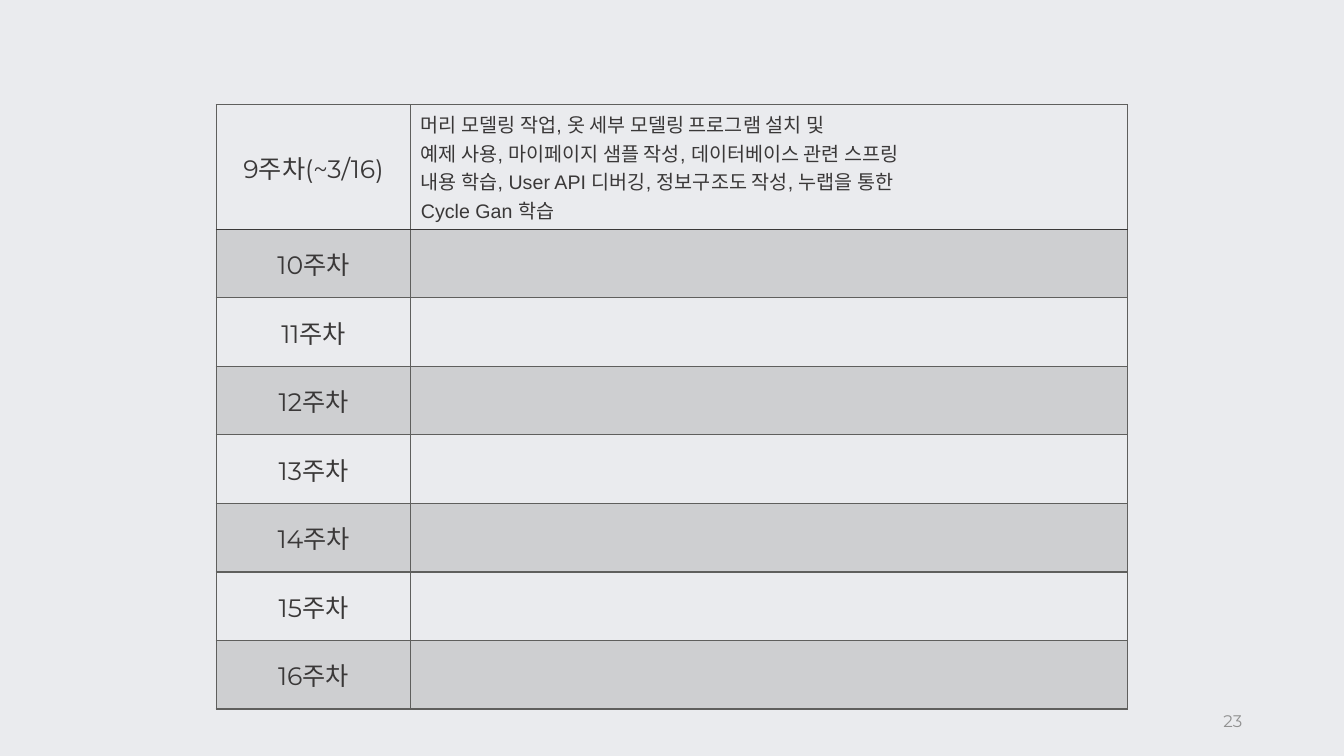
from lxml import etree
from pptx import Presentation
from pptx.dml.color import RGBColor
from pptx.enum import text
from pptx.oxml import ns
from pptx.util import Inches, Pt

# Content
WEEKS = ["9주차(~3/16)"] + [f"{week}주차" for week in range(10, 17)]
TASKS = [
    "머리 모델링 작업, 옷 세부 모델링 프로그램 설치 및",
    "예제 사용, 마이페이지 샘플 작성, 데이터베이스 관련 스프링",
    "내용 학습, User API 디버깅, 정보구조도 작성, 누랩을 통한",
    "Cycle Gan 학습",
]
PAGE = "23"

# Grid and colours
WIDE, HIGH = 13.33, 7.5
COLS = (1.93, 7.11)
ROWS = [1.23] + [0.68] * (len(WEEKS) - 1)
LEFT, TOP = (WIDE - sum(COLS)) / 2, 1.04
BACK, INK, RULE, PALE = "EAEBEE", "3A3838", "5F5F5D", "919191"


def color(code):
    return RGBColor.from_string(code)


def write(frame, lines, size, font="Montserrat", ink=INK, align=text.PP_ALIGN.LEFT):
    for i, line in enumerate(lines):
        para = frame.paragraphs[0] if i == 0 else frame.add_paragraph()
        para.alignment = align
        run = para.add_run()
        run.text = line
        run.font.size = Pt(size)
        run.font.name = font
        run.font.color.rgb = color(ink)


def style(cell, row):
    """Shade every second row and rule all four sides."""
    cell.vertical_anchor = text.MSO_ANCHOR.MIDDLE
    props = cell._tc.get_or_add_tcPr()
    if row % 2:
        cell.fill.solid()
        cell.fill.fore_color.rgb = color(RULE)
        tint = props.find(".//" + ns.qn("a:srgbClr"))
        etree.SubElement(tint, ns.qn("a:alpha"), val="20000")
    else:
        cell.fill.background()
    dark = {0: "B", 1: "T"}.get(row)
    for i, side in enumerate("LRTB"):
        line = etree.Element(ns.qn("a:ln" + side), w=str(Pt(1)))
        fill = etree.SubElement(line, ns.qn("a:solidFill"))
        etree.SubElement(fill, ns.qn("a:srgbClr"), val=INK if side == dark else RULE)
        props.insert(i, line)


def main():
    deck = Presentation()
    deck.slide_width, deck.slide_height = Inches(WIDE), Inches(HIGH)
    slide = deck.slides.add_slide(deck.slide_layouts[6])
    slide.background.fill.solid()
    slide.background.fill.fore_color.rgb = color(BACK)

    # Weekly plan
    area = [Inches(n) for n in (LEFT, TOP, sum(COLS), sum(ROWS))]
    plan = slide.shapes.add_table(len(ROWS), len(COLS), *area).table
    plan.first_row = plan.horz_banding = False
    for col, width in zip(plan.columns, COLS):
        col.width = Inches(width)
    for r, (height, week) in enumerate(zip(ROWS, WEEKS)):
        plan.rows[r].height = Inches(height)
        for cell in plan.rows[r].cells:
            style(cell, r)
        write(plan.cell(r, 0).text_frame, [week], 18, align=text.PP_ALIGN.CENTER)
    write(plan.cell(0, 1).text_frame, TASKS, 14, font="Arial")

    # Page number
    box = slide.shapes.add_textbox(Inches(9.42), Inches(6.95), Inches(3), Inches(0.4))
    box.text_frame.word_wrap = True
    box.text_frame.vertical_anchor = text.MSO_ANCHOR.MIDDLE
    write(box.text_frame, [PAGE], 12, ink=PALE, align=text.PP_ALIGN.RIGHT)

    deck.save("out.pptx")


if __name__ == "__main__":
    main()
